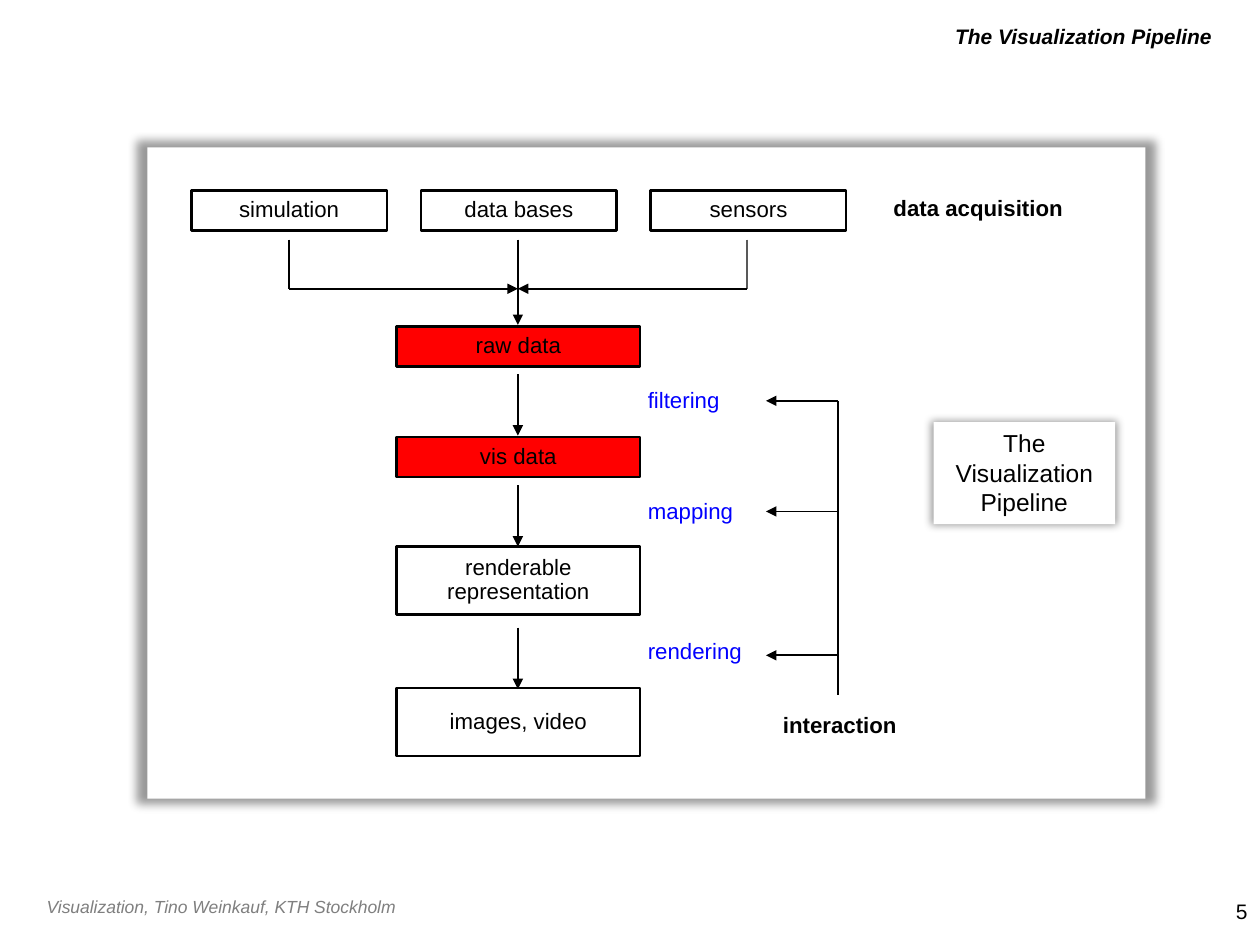
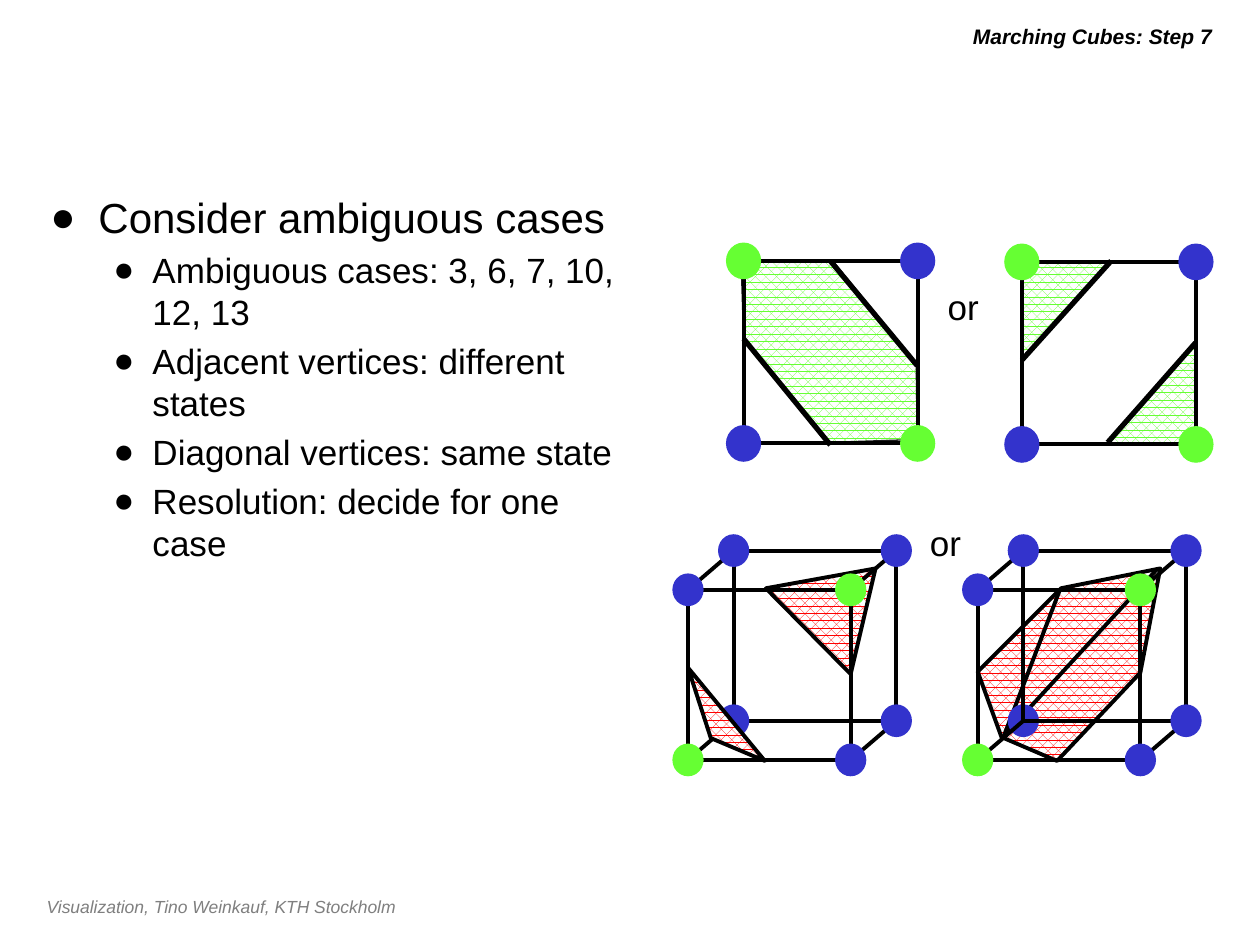
import pptx
import pptx.util
import pptx.dml.color
import pptx.enum.dml
import pptx.enum.shapes
import pptx.enum.text
import lxml.etree
import pptx.oxml.ns

RGBColor = pptx.dml.color.RGBColor
Cm = pptx.util.Cm
Pt = pptx.util.Pt
Align = pptx.enum.text.PP_ALIGN
Anchor = pptx.enum.text.MSO_ANCHOR
Shape = pptx.enum.shapes.MSO_SHAPE
qn = pptx.oxml.ns.qn

BLACK = RGBColor(0x00, 0x00, 0x00)
WHITE = RGBColor(0xFF, 0xFF, 0xFF)
GREY = RGBColor(0x7F, 0x7F, 0x7F)
DARK_GREY = RGBColor(0x59, 0x59, 0x59)
NEAR_BLACK = RGBColor(0x1C, 0x1C, 0x1C)
RED = RGBColor(0xFF, 0x00, 0x00)
LABEL_BLUE = RGBColor(0x02, 0x00, 0xFF)
GREEN = RGBColor(0x66, 0xFF, 0x33)
DOT_BLUE = RGBColor(0x33, 0x33, 0xCC)

FONT = "Arial"
TIGHT = Cm(0.08)
FOOTER = "Visualization, Tino Weinkauf, KTH Stockholm"
TITLE_ONLY = 5
TITLE_AND_BODY = 1


def add_xml(parent, tag, **attributes):
    return lxml.etree.SubElement(parent, qn(tag), attributes)


class Lecture:
    def __init__(self):
        self.deck = pptx.Presentation()
        self.deck.slide_width = Cm(25.4)
        self.deck.slide_height = Cm(19.05)
        self.page = None

    def new_page(self, layout, title):
        self.page = self.deck.slides.add_slide(self.deck.slide_layouts[layout])
        self.text(FOOTER, (0.69, 17.93, 18.77, 0.69), size=10, color=GREY, italic=True)
        heading = self.page.shapes.title
        self.place(heading, (4.01, 0.33, 20.68, 0.79))
        heading.text_frame.auto_size = pptx.enum.text.MSO_AUTO_SIZE.NONE
        self.fill_text(heading, title, size=12, align=Align.RIGHT, bold=True, italic=True)

    def place(self, item, area):
        item.left, item.top, item.width, item.height = map(Cm, area)

    def add_span(self, para, words, size, color=BLACK, bold=False, italic=False):
        span = para.add_run()
        span.text = words
        span.font.name = FONT
        span.font.size = Pt(size)
        span.font.color.rgb = color
        span.font.bold = bold
        span.font.italic = italic

    def fill_text(self, item, words, size, align=Align.LEFT, anchor=None, tight=False,
                  spacing=None, **style):
        frame = item.text_frame
        frame.word_wrap = True
        if anchor is not None:
            frame.vertical_anchor = anchor
        if tight:
            frame.margin_left = frame.margin_right = TIGHT
            frame.margin_top = frame.margin_bottom = TIGHT
        para = frame.paragraphs[0]
        para.alignment = align
        if spacing:
            para.line_spacing = spacing
        self.add_span(para, words, size, **style)

    def text(self, words, area, wrap=True, **style):
        box = self.page.shapes.add_textbox(*map(Cm, area))
        self.fill_text(box, words, **style)
        box.text_frame.word_wrap = wrap

    def label(self, words, area, **style):
        self.text(words, area, size=12.7, anchor=Anchor.MIDDLE, tight=True, **style)

    def bullets(self, items):
        body = self.page.placeholders[1]
        self.place(body, (0.76, 3.73, 12.17, 12.7))
        frame = body.text_frame
        frame.auto_size = pptx.enum.text.MSO_AUTO_SIZE.NONE
        for index, (level, words) in enumerate(items):
            para = frame.paragraphs[0] if index == 0 else frame.add_paragraph()
            margin, hanging, size, before = ((0.97, 0.97, 24, 0), (2.06, 0.79, 20, 4))[level]
            para.level = level
            para.space_before = Pt(before)
            properties = para._p.get_or_add_pPr()
            properties.set("marL", str(Cm(margin)))
            properties.set("indent", str(-Cm(hanging)))
            add_xml(properties, "a:buFont", typeface=FONT)
            add_xml(properties, "a:buChar", char="●")
            self.add_span(para, words, size)

    def paint(self, item, fill=None, line=None, weight=2.25):
        item.shadow.inherit = False
        if fill is None:
            item.fill.background()
        else:
            item.fill.solid()
            item.fill.fore_color.rgb = fill
        if line is None:
            item.line.fill.background()
        else:
            item.line.color.rgb = line
            item.line.width = Pt(weight)

    def shape(self, kind, area, **look):
        item = self.page.shapes.add_shape(kind, *map(Cm, area))
        self.paint(item, **look)
        return item

    def step(self, words, area, fill=WHITE):
        box = self.shape(Shape.RECTANGLE, area, fill=fill, line=BLACK, weight=1.5)
        self.fill_text(box, words, size=12.7, align=Align.CENTER, anchor=Anchor.MIDDLE,
                       tight=True, spacing=0.9)

    def card(self, area):
        card = self.shape(Shape.RECTANGLE, area, fill=WHITE)
        effects = card._element.spPr.find(qn("a:effectLst"))
        shadow = add_xml(effects, "a:outerShdw", blurRad=str(Pt(5)), sx="102000",
                         sy="102000", algn="ctr", rotWithShape="0")
        add_xml(add_xml(shadow, "a:srgbClr", val=str(BLACK)), "a:alpha", val="40000")
        return card

    def line(self, start, end, weight=2.25, color=BLACK, arrow=False):
        link = self.page.shapes.add_connector(
            pptx.enum.shapes.MSO_CONNECTOR.STRAIGHT, *map(Cm, start + end))
        link.line.color.rgb = color
        link.line.width = Pt(weight)
        if arrow:
            add_xml(link.line._get_or_add_ln(), "a:tailEnd", type="triangle")
        add_xml(link._element.spPr, "a:effectLst")

    def outline(self, points, pattern=None, line=None, weight=2.25, close=True):
        corners = [(Cm(x), Cm(y)) for x, y in points]
        builder = self.page.shapes.build_freeform(*corners[0])
        builder.add_line_segments(corners[1:], close=close)
        item = builder.convert_to_shape()
        self.paint(item, line=line, weight=weight)
        if pattern is not None:
            item.fill.patterned()
            item.fill.pattern = pptx.enum.dml.MSO_PATTERN.PERCENT_60
            item.fill.fore_color.rgb = pattern
            item.fill.back_color.rgb = WHITE

    def dot(self, center, color, width, height):
        x, y = center
        self.shape(Shape.OVAL, (x - width / 2, y - height / 2, width, height), fill=color)

    def square(self, left, top):
        width, height = 3.51, 3.68
        self.shape(Shape.RECTANGLE, (left, top, width, height), line=BLACK)
        for column in (0, 1):
            for row in (0, 1):
                color = GREEN if column == row else DOT_BLUE
                self.dot((left + column * width, top + row * height), color, 0.71, 0.74)

    def cube(self, left, hidden_behind=False):
        top, width, height, shift_x, shift_y = 11.89, 3.28, 3.43, 0.92, -0.79
        corners = [(column, row) for row in (1, 0) for column in (0, 1)]

        def spot(column, row, back):
            return (left + column * width + back * shift_x,
                    top + row * height + back * shift_y)

        hidden = (0, 1, 1)
        if hidden_behind:
            self.dot(spot(*hidden), DOT_BLUE, 0.63, 0.66)
        for back in (0, 1):
            self.shape(Shape.RECTANGLE, spot(0, 0, back) + (width, height), line=BLACK)
        for corner in corners:
            self.line(spot(*corner, 0), spot(*corner, 1))
        for back in (0, 1):
            for column, row in corners:
                if hidden_behind and (column, row, back) == hidden:
                    continue
                color = GREEN if not back and column != row else DOT_BLUE
                self.dot(spot(column, row, back), color, 0.63, 0.66)


def build_pipeline(lecture):
    lecture.new_page(TITLE_ONLY, "The Visualization Pipeline")
    lecture.text("5", (20.12, 17.93, 5.28, 0.81), size=12, align=Align.RIGHT,
                 anchor=Anchor.BOTTOM)
    lecture.card((2.97, 2.97, 20.12, 13.13))

    for index, source in enumerate(("simulation", "data bases", "sensors")):
        lecture.step(source, (3.86 + 4.63 * index, 3.84, 3.94, 0.81))
    left, middle, right = 5.82, 10.44, 15.06
    source_end, junction = 4.83, 5.82
    lecture.line((middle, source_end), (middle, 6.55), weight=1, arrow=True)
    for x, color in ((left, BLACK), (right, DARK_GREY)):
        lecture.line((x, source_end), (x, junction), weight=1, color=color)
        lecture.line((x, junction), (middle, junction), weight=1, arrow=True)

    for stage, top, height, fill in (
            ("raw data", 6.58, 0.81, RED),
            ("vis data", 8.81, 0.81, RED),
            ("renderable representation", 11.02, 1.37, WHITE),
            ("images, video", 13.87, 1.37, WHITE)):
        lecture.step(stage, (8, top, 4.9, height), fill)

    trunk = 16.89
    for action, arrow_top, label_top, branch in (
            ("filtering", 7.54, 7.67, 8.08),
            ("mapping", 9.78, 9.91, 10.31),
            ("rendering", 12.65, 12.73, 13.21)):
        lecture.line((middle, arrow_top), (middle, arrow_top + 1.24), weight=1, arrow=True)
        lecture.label(action, (12.98, label_top, 2.5, 0.76), color=LABEL_BLUE)
        lecture.line((trunk, branch), (15.44, branch), weight=1, arrow=True)
    lecture.line((trunk, 8.08), (trunk, 14.02), weight=1)

    lecture.label("interaction", (14.96, 14.22, 3.94, 0.76), align=Align.CENTER, bold=True)
    lecture.label("data acquisition", (17.27, 3.81, 4.9, 0.76), align=Align.CENTER, bold=True)
    callout = lecture.card((18.82, 8.51, 3.66, 2.06))
    lecture.fill_text(callout, "The Visualization Pipeline", size=14, align=Align.CENTER,
                      anchor=Anchor.TOP)


def build_marching_cubes(lecture):
    lecture.new_page(TITLE_AND_BODY, "Marching Cubes: Step 7")
    lecture.bullets((
        (0, "Consider ambiguous cases"),
        (1, "Ambiguous cases: 3, 6, 7, 10, 12, 13"),
        (1, "Adjacent vertices: different states"),
        (1, "Diagonal vertices: same state"),
        (1, "Resolution: decide for one case")))

    lecture.outline(((24.1, 6.86), (22.33, 8.94), (24.08, 8.94)), GREEN)
    lecture.outline(((20.57, 5.23), (20.57, 7.26), (22.3, 5.31)), GREEN)
    lecture.outline(((14.94, 5.23), (14.99, 6.83), (16.66, 8.92), (18.49, 8.86),
                     (18.47, 7.32), (16.79, 5.26)), GREEN, NEAR_BLACK, 0.75)
    for start, end in (
            ((22.4, 5.26), (20.6, 7.26)), ((24.1, 6.91), (22.33, 8.92)),
            ((14.99, 6.83), (16.74, 8.97)), ((16.74, 5.26), (18.49, 7.37))):
        lecture.line(start, end, weight=3)
    lecture.square(14.99, 5.26)
    lecture.square(20.6, 5.28)

    lecture.outline(((15.44, 11.86), (17.65, 11.46), (17.15, 13.59)), RED, BLACK)
    lecture.cube(13.87)
    lecture.outline(((13.87, 13.46), (14.33, 14.88), (15.42, 15.34)), RED, BLACK)

    lecture.line((22.99, 13.59), (20.24, 14.86))
    lecture.outline(((19.71, 13.54), (20.19, 14.86), (21.31, 15.34), (22.99, 13.56),
                     (23.39, 11.46), (21.39, 11.86)), RED, BLACK)
    lecture.outline(((21.36, 11.91), (20.24, 14.83), (23.34, 11.46)), line=BLACK, close=False)
    lecture.cube(19.71, hidden_behind=True)

    for left, top in ((18.85, 5.64), (18.49, 10.39)):
        lecture.text("or", (left, top, 1.14, 1.09), wrap=False, size=20, align=Align.CENTER)


def main():
    lecture = Lecture()
    build_pipeline(lecture)
    build_marching_cubes(lecture)
    lecture.deck.save("out.pptx")


if __name__ == "__main__":
    main()
